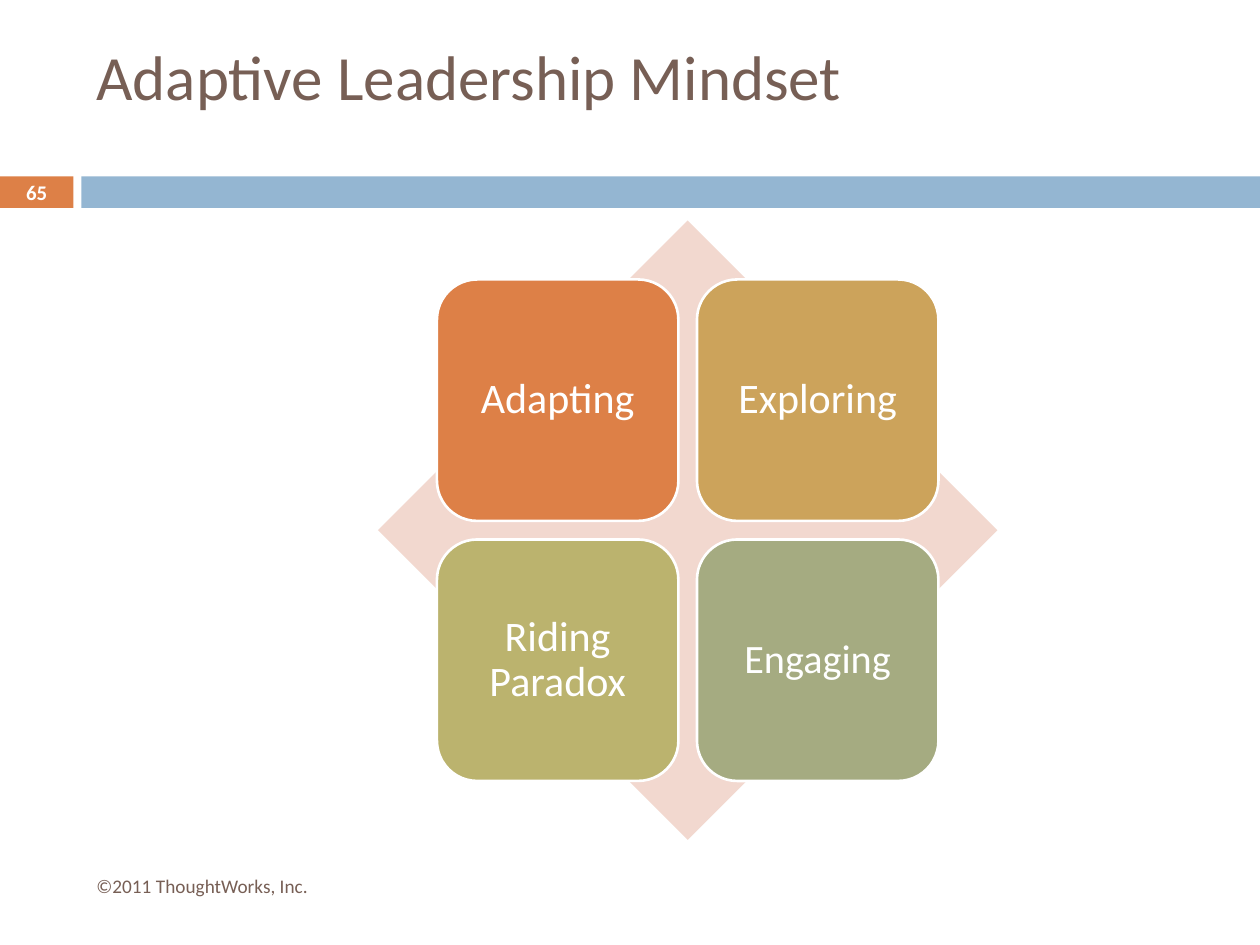
from pptx import Presentation
from pptx.dml.color import RGBColor
from pptx.enum.shapes import MSO_SHAPE
from pptx.enum.text import MSO_ANCHOR, PP_ALIGN
from pptx.util import Pt

WHITE = RGBColor(0xFF, 0xFF, 0xFF)
BROWN = RGBColor(0x77, 0x5F, 0x55)
ORANGE = RGBColor(0xDD, 0x80, 0x47)
BLUE = RGBColor(0x94, 0xB6, 0xD2)
PINK = RGBColor(0xF2, 0xD8, 0xCF)
GOLD = RGBColor(0xCC, 0xA3, 0x5B)
OLIVE = RGBColor(0xBB, 0xB3, 0x6E)
SAGE = RGBColor(0xA5, 0xAB, 0x81)

CENTER_X, CENTER_Y = 393, 303
DIAMOND_SIZE = 354
TILE_SIZE = 138
TILE_GAP = 10.6
TILES = [
    [("Adapting", 24, ORANGE), ("Exploring", 24, GOLD)],
    [("Riding Paradox", 24, OLIVE), ("Engaging", 23, SAGE)],
]


class SlideBuilder:
    font_name = "Calibri"

    def __init__(self, slide):
        self.slide = slide

    def shape(self, kind, left, top, width, height, fill):
        shape = self.slide.shapes.add_shape(
            kind, Pt(left), Pt(top), Pt(width), Pt(height))
        shape.shadow.inherit = False
        shape.fill.solid()
        shape.fill.fore_color.rgb = fill
        shape.line.fill.background()
        return shape

    def label(self, shape, text, size, color, align=PP_ALIGN.LEFT,
              anchor=MSO_ANCHOR.MIDDLE, bold=False):
        """Put one styled run into a shape and return its paragraph."""
        frame = shape.text_frame
        frame.word_wrap = True
        frame.vertical_anchor = anchor
        para = frame.paragraphs[0]
        para.alignment = align
        span = para.add_run()
        span.text = text
        span.font.name = self.font_name
        span.font.size = Pt(size)
        span.font.bold = bold
        span.font.color.rgb = color
        return para

    def text(self, left, top, width, height, text, size, color, **style):
        box = self.slide.shapes.add_textbox(
            Pt(left), Pt(top), Pt(width), Pt(height))
        self.label(box, text, size, color, **style)

    def tile(self, left, top, text, size, fill):
        """Add a rounded square with a white outline and a centred label."""
        tile = self.shape(MSO_SHAPE.ROUNDED_RECTANGLE, left, top,
                          TILE_SIZE, TILE_SIZE, fill)
        tile.line.color.rgb = WHITE
        tile.line.width = Pt(1.5)
        para = self.label(tile, text, size, WHITE, align=PP_ALIGN.CENTER)
        para.line_spacing = 0.9
        frame = tile.text_frame
        frame.margin_left = frame.margin_right = Pt(7.2)
        frame.margin_top = frame.margin_bottom = Pt(7.2)


def main():
    deck = Presentation()
    deck.slide_width, deck.slide_height = Pt(720), Pt(540)
    builder = SlideBuilder(deck.slides.add_slide(deck.slide_layouts[6]))

    number_bar = builder.shape(MSO_SHAPE.RECTANGLE, 0, 100.8, 42, 18, ORANGE)
    number_bar.text_frame.margin_top = number_bar.text_frame.margin_bottom = 0
    builder.label(number_bar, "65", 11.9, WHITE,
                  align=PP_ALIGN.CENTER, bold=True)
    builder.shape(MSO_SHAPE.RECTANGLE, 46.5, 100.8, 673.5, 18, BLUE)
    builder.text(48, 18, 642, 78, "Adaptive Leadership Mindset", 36, BROWN,
                 anchor=MSO_ANCHOR.TOP)

    builder.shape(MSO_SHAPE.DIAMOND, CENTER_X - DIAMOND_SIZE / 2,
                  CENTER_Y - DIAMOND_SIZE / 2,
                  DIAMOND_SIZE, DIAMOND_SIZE, PINK)
    pitch = TILE_SIZE + TILE_GAP
    grid_left = CENTER_X - TILE_GAP / 2 - TILE_SIZE
    grid_top = CENTER_Y - TILE_GAP / 2 - TILE_SIZE
    for row, tiles in enumerate(TILES):
        for column, (name, size, fill) in enumerate(tiles):
            builder.tile(grid_left + column * pitch, grid_top + row * pitch,
                         name, size, fill)

    builder.text(48, 492, 427, 28.8, "©2011 ThoughtWorks, Inc.", 11, BROWN)
    deck.save("out.pptx")


if __name__ == "__main__":
    main()
